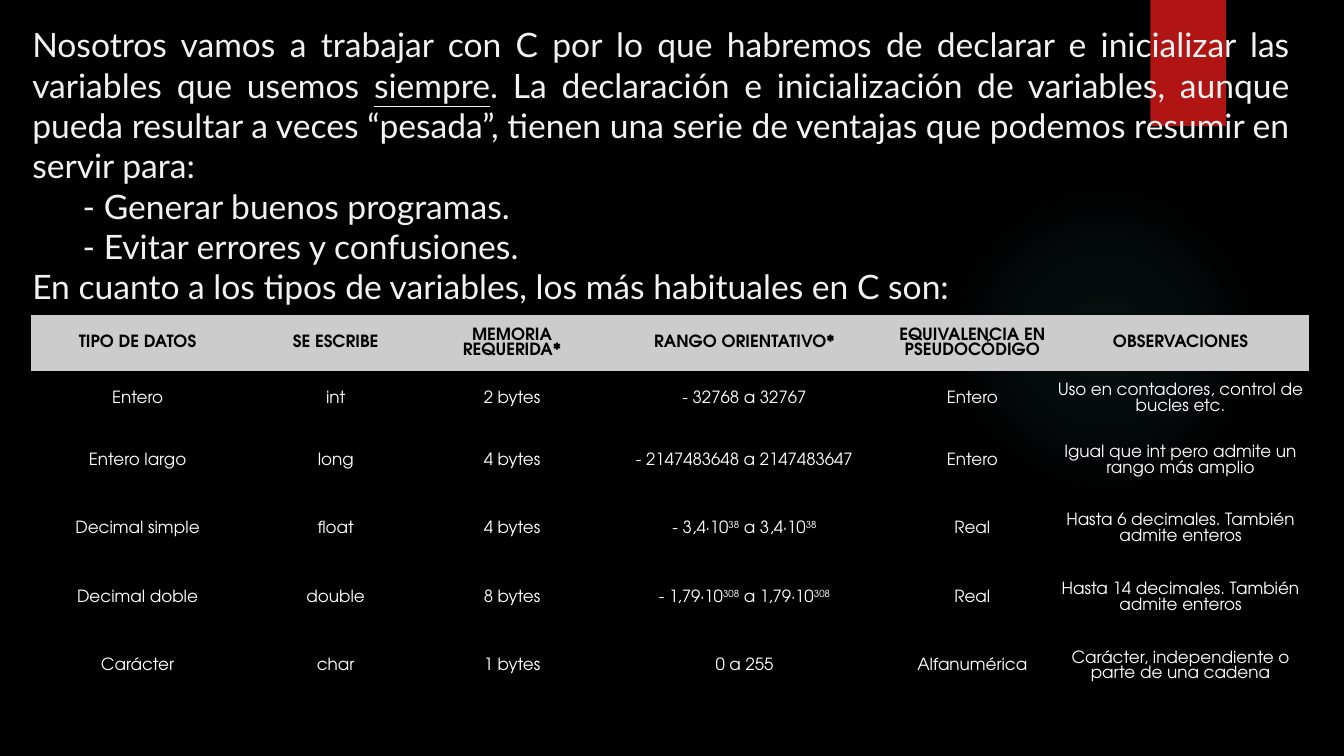
from lxml.etree import SubElement
from pptx import Presentation
from pptx.dml.color import RGBColor
from pptx.enum.shapes import MSO_SHAPE
from pptx.enum.text import MSO_ANCHOR, MSO_AUTO_SIZE, PP_ALIGN
from pptx.oxml import parse_xml
from pptx.oxml.ns import nsdecls, qn
from pptx.util import Pt

PX = 9144
BLACK = RGBColor(0x00, 0x00, 0x00)
WHITE = RGBColor(0xFF, 0xFF, 0xFF)
OFF_WHITE = RGBColor(0xF2, 0xF2, 0xF2)
GREY = RGBColor(0xCC, 0xCC, 0xCC)
RED = RGBColor(0xB0, 0x15, 0x13)
TEAL = RGBColor(0x50, 0xB9, 0xC1)
BODY_FONT = "Lato"
TABLE_FONT = "TeX Gyre Adventor"
NO_STYLE = "{2D5ABB26-0587-4C30-8999-92F81FD0307C}"

GLOW_STOPS = [(0, 7), (36, 6), (69, 0)]
INTRO = [
    (0, ["Nosotros vamos a trabajar con C por lo que habremos de declarar e "
         "inicializar las variables que usemos ", "siempre",
         ". La declaración e inicialización de variables, aunque pueda resultar "
         "a veces “pesada”, tienen una serie de ventajas que podemos resumir en "
         "servir para:"]),
    (1, ["- Generar buenos programas."]),
    (1, ["- Evitar errores y confusiones."]),
    (0, ["En cuanto a los tipos de variables, los más habituales en C son:"]),
]
COLUMN_WIDTHS = [211, 182, 168, 293, 159, 254]
ROW_HEIGHTS = [55, 55, 68, 68, 68, 68]
DATA_TYPES = [
    ["TIPO DE DATOS", "SE ESCRIBE", "MEMORIA REQUERIDA*", "RANGO ORIENTATIVO*",
     "EQUIVALENCIA EN PSEUDOCÓDIGO", "OBSERVACIONES"],
    ["Entero", "int", "2 bytes", "- 32768 a 32767", "Entero",
     "Uso en contadores, control de bucles etc."],
    ["Entero largo", "long", "4 bytes", "- 2147483648 a 2147483647", "Entero",
     "Igual que int pero admite un rango más amplio"],
    ["Decimal simple", "float", "4 bytes", "- 3,4·10^38^ a 3,4·10^38", "Real",
     "Hasta 6 decimales. También admite enteros"],
    ["Decimal doble", "double", "8 bytes", "- 1,79·10^308^ a 1,79·10^308", "Real",
     "Hasta 14 decimales. También admite enteros"],
    ["Carácter", "char", "1 bytes", "0 a 255", "Alfanumérica",
     "Carácter, independiente o parte de una cadena"],
]


def px(*lengths):
    """Turn pixel lengths into EMU."""
    return [length * PX for length in lengths]


def add_span(para, text, font, size, color, bold=False, underline=False, raised=False):
    """Append one formatted run to a paragraph."""
    span = para.add_run()
    span.text = text
    span.font.name = font
    span.font.size = Pt(size)
    span.font.color.rgb = color
    span.font.bold = bold
    span.font.underline = underline
    if raised:
        span.font._element.set("baseline", "30000")


def add_plain_shape(page, kind, box):
    """Add a shape without line or shadow."""
    shape = page.shapes.add_shape(kind, *px(*box))
    shape.shadow.inherit = False
    shape.line.fill.background()
    return shape


def add_glow(page, box):
    """Add the faint round glow behind the content."""
    glow = add_plain_shape(page, MSO_SHAPE.OVAL, box)
    stops = "".join(
        f'<a:gs pos="{place * 1000}"><a:srgbClr val="{TEAL}">'
        f'<a:alpha val="{alpha * 1000}"/></a:srgbClr></a:gs>'
        for place, alpha in GLOW_STOPS)
    gradient = parse_xml(
        f'<a:gradFill {nsdecls("a")}><a:gsLst>{stops}</a:gsLst><a:path path="circle">'
        '<a:fillToRect l="50000" t="50000" r="50000" b="50000"/></a:path></a:gradFill>')
    glow._element.spPr.find(qn("a:prstGeom")).addnext(gradient)


def add_ribbon(page, box):
    """Add the red ribbon at the top edge."""
    ribbon = add_plain_shape(page, MSO_SHAPE.RECTANGLE, box)
    ribbon.fill.solid()
    ribbon.fill.fore_color.rgb = RED


def fill_intro(body, box):
    """Place the body placeholder and write the introduction in it."""
    body.left, body.top, body.width, body.height = px(*box)
    frame = body.text_frame
    frame.word_wrap = True
    frame.auto_size = MSO_AUTO_SIZE.SHAPE_TO_FIT_TEXT
    frame.vertical_anchor = MSO_ANCHOR.TOP
    for index, (level, parts) in enumerate(INTRO):
        para = frame.add_paragraph() if index else frame.paragraphs[0]
        para.level = level
        para.alignment = PP_ALIGN.JUSTIFY
        para.space_before = para.space_after = Pt(0)
        properties = para._p.get_or_add_pPr()
        properties.set("marL", str(level * 50 * PX))
        properties.set("indent", "0")
        SubElement(properties, qn("a:buNone"))
        for text in parts:
            add_span(para, text, BODY_FONT, 24, OFF_WHITE, underline=text == "siempre")


def fill_cell(cell, text, header):
    """Format one table cell; text between carets is superscript."""
    cell.margin_left = cell.margin_right = cell.margin_top = cell.margin_bottom = 3 * PX
    cell.vertical_anchor = MSO_ANCHOR.MIDDLE
    if header:
        cell.fill.solid()
        cell.fill.fore_color.rgb = GREY
    else:
        cell.fill.background()
    para = cell.text_frame.paragraphs[0]
    para.alignment = PP_ALIGN.CENTER
    for index, part in enumerate(text.split("^")):
        add_span(para, part, TABLE_FONT, 12, BLACK if header else WHITE,
                 bold=header, raised=index % 2 == 1)


def add_types_table(page, box):
    """Add the table of data types."""
    frame = page.shapes.add_table(len(ROW_HEIGHTS), len(COLUMN_WIDTHS), *px(*box))
    table = frame.table
    table.horz_banding = False
    table._tbl.tblPr.find(qn("a:tableStyleId")).text = NO_STYLE
    for column, width in zip(table.columns, COLUMN_WIDTHS):
        column.width = width * PX
    for row, height, texts in zip(table.rows, ROW_HEIGHTS, DATA_TYPES):
        row.height = height * PX
        for cell, text in zip(row.cells, texts):
            fill_cell(cell, text, header=texts is DATA_TYPES[0])


def add_variables_page(deck):
    """Build the page on variable types in C."""
    page = deck.slides.add_slide(deck.slide_layouts[1])
    page.background.fill.solid()
    page.background.fill.fore_color.rgb = BLACK
    title, body = page.placeholders
    title._element.getparent().remove(title._element)
    add_glow(page, (941, 183, 308, 308))
    add_ribbon(page, (1141, 0, 75, 125))
    page.shapes._spTree.append(body._element)
    fill_intro(body, (22, 19, 1267, 323))
    add_types_table(page, (31, 313, sum(COLUMN_WIDTHS), sum(ROW_HEIGHTS)))


def main():
    """Create and save the deck."""
    deck = Presentation()
    deck.slide_width, deck.slide_height = px(1333, 750)
    add_variables_page(deck)
    deck.save("out.pptx")


if __name__ == "__main__":
    main()
